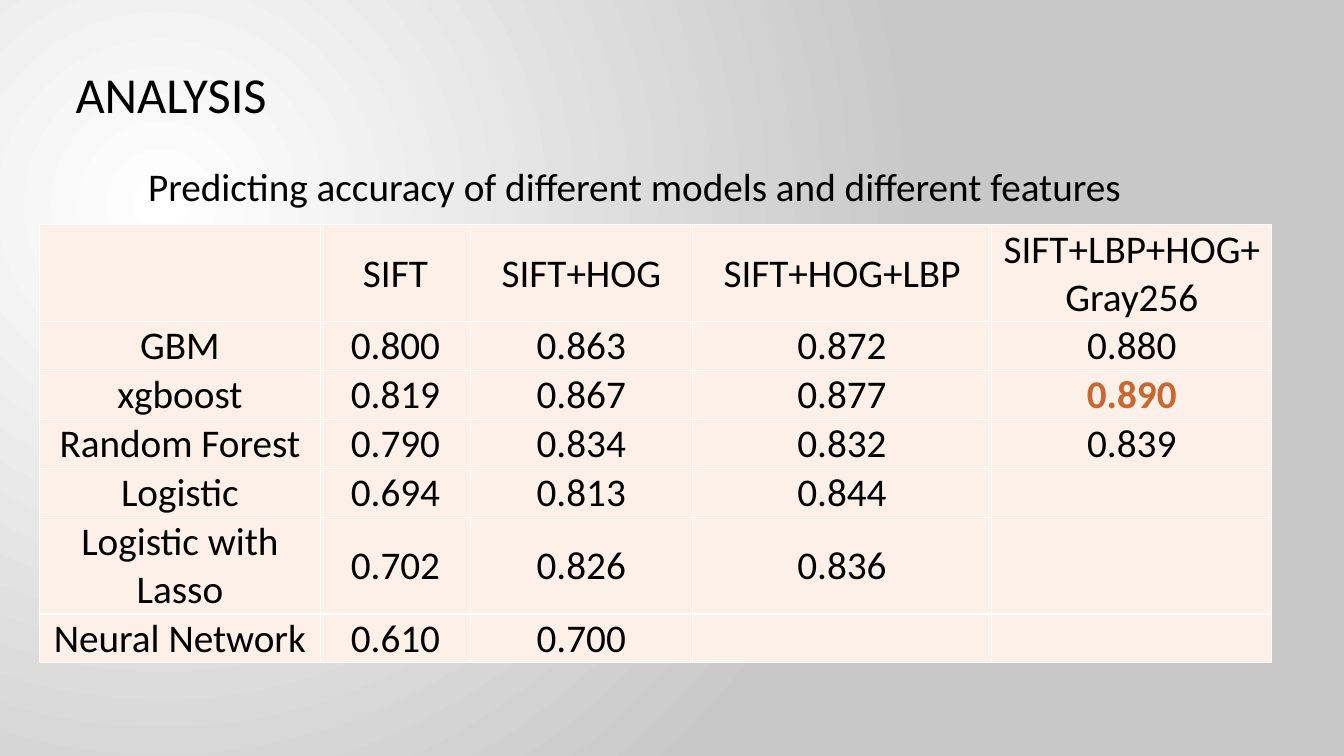
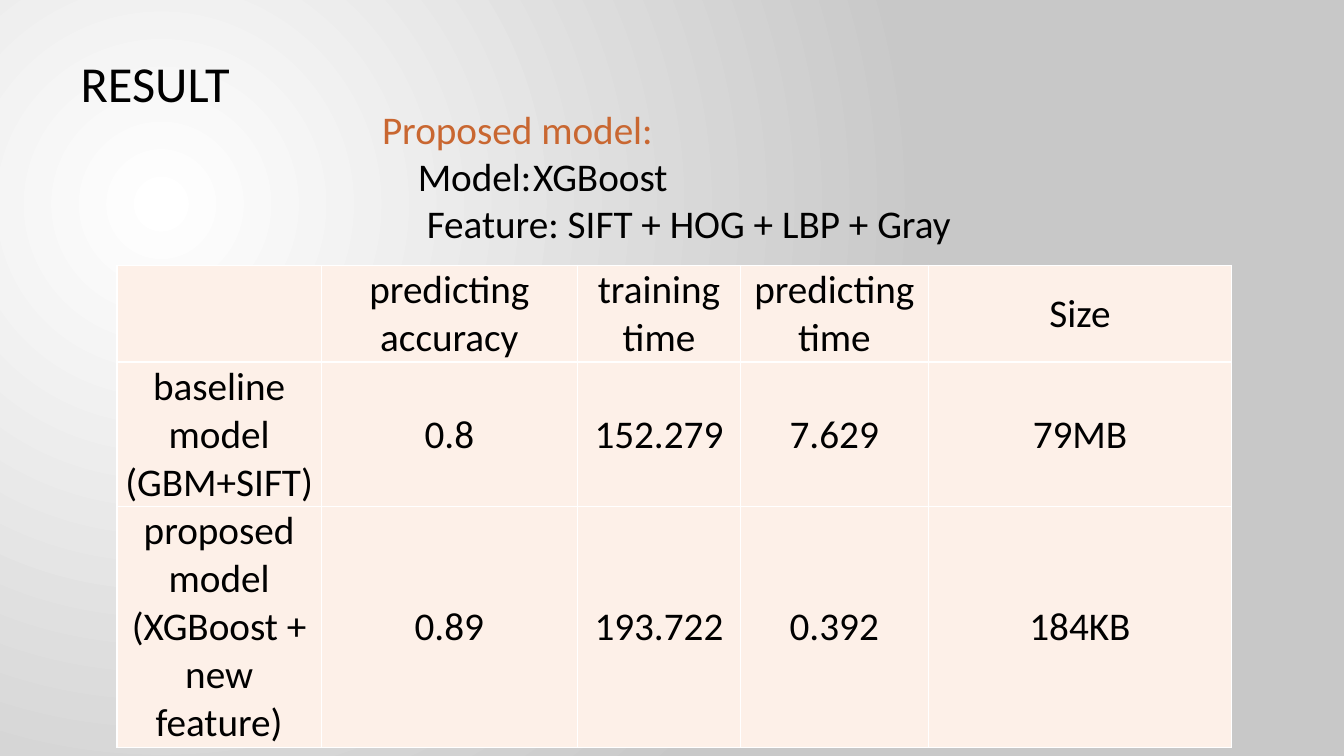
from dataclasses import dataclass

from lxml.etree import SubElement
from pptx import Presentation
from pptx.dml.color import RGBColor
from pptx.enum.text import MSO_ANCHOR, MSO_AUTO_SIZE, PP_ALIGN
from pptx.oxml import parse_xml
from pptx.oxml.ns import nsdecls, qn
from pptx.util import Pt


@dataclass(frozen=True)
class Theme:
    font: str = "Calibri"
    title_size: int = 36
    text_size: int = 28
    ink: str = "000000"
    accent: str = "C96731"
    cell: str = "FDF0E8"
    rule: str = "FFFFFF"
    glow: str = "FFFFFF"
    edge: str = "C8C8C8"


theme = Theme()


def write_lines(frame, lines, size, align=PP_ALIGN.LEFT):
    """Fill a text frame; each line is (text, colour, bold, first-line indent)."""
    for number, (text, color, bold, indent) in enumerate(lines):
        paragraph = frame.paragraphs[0] if number == 0 else frame.add_paragraph()
        properties = paragraph._p.get_or_add_pPr()
        properties.set("marL", "0")
        properties.set("indent", str(Pt(indent)))
        SubElement(properties, qn("a:buNone"))
        if "\t" in text:
            tabs = SubElement(properties, qn("a:tabLst"))
            SubElement(tabs, qn("a:tab"), pos=str(Pt(119)), algn="l")
        paragraph.alignment = align
        paragraph.space_before = Pt(0)
        run = paragraph.add_run()
        run.text = text
        for name, value in {"name": theme.font, "size": Pt(size), "bold": bold}.items():
            setattr(run.font, name, value)
        run.font.color.rgb = RGBColor.from_string(color)


def fill_placeholder(placeholder, box, lines, size):
    """Move a placeholder to box (left, top, width, height) and write its lines."""
    for name, value in zip(("left", "top", "width", "height"), box):
        setattr(placeholder, name, Pt(value))
    frame_format = {
        "word_wrap": True,
        "auto_size": MSO_AUTO_SIZE.NONE,
        "vertical_anchor": MSO_ANCHOR.TOP,
    }
    for name, value in frame_format.items():
        setattr(placeholder.text_frame, name, value)
    write_lines(placeholder.text_frame, lines, size)


# Content of the slides
pages = [
    {
        "title": "ANALYSIS",
        "title_box": (46.8, 41.8, 400, 51),
        "body": [("Predicting accuracy of different models and different features",
                  theme.ink, False, 0)],
        "body_box": (98.6, 112.3, 730, 41),
        "table_at": (28, 160.6),
        "columns": (201, 107, 158.5, 214, 200),
        "rows": (68.5, 34.5, 34.5, 34.5, 34.5, 68.5, 34.5),
        "cells": [
            ("", "SIFT", "SIFT+HOG", "SIFT+HOG+LBP", "SIFT+LBP+HOG+Gray256"),
            ("GBM", "0.800", "0.863", "0.872", "0.880"),
            ("xgboost", "0.819", "0.867", "0.877", "0.890"),
            ("Random Forest", "0.790", "0.834", "0.832", "0.839"),
            ("Logistic", "0.694", "0.813", "0.844", ""),
            ("Logistic with Lasso", "0.702", "0.826", "0.836", ""),
            ("Neural Network", "0.610", "0.700", "", ""),
        ],
        "best": "0.890",
    },
    {
        "title": "RESULT",
        "title_box": (50.4, 33.8, 400, 51),
        "body": [
            ("Proposed model:", theme.accent, False, 0),
            ("Model:\tXGBoost", theme.ink, False, 25.5),
            ("Feature: SIFT + HOG + LBP + Gray", theme.ink, False, 32),
        ],
        "body_box": (265.7, 71.3, 450, 112),
        "table_at": (83.5, 189.4),
        "columns": (146, 183, 116.5, 134, 217),
        "rows": (68, 101, 169),
        "cells": [
            ("", "predicting accuracy", "training time", "predicting time", "Size"),
            ("baseline model (GBM+SIFT)", "0.8", "152.279", "7.629", "79MB"),
            ("proposed model (XGBoost + new feature)", "0.89", "193.722", "0.392", "184KB"),
        ],
        "best": None,
    },
]

deck = Presentation()
deck.slide_width, deck.slide_height = Pt(960), Pt(540)

# Shared background: a light spot at the upper left of the master
master = deck.slide_master
backdrop = master.background.fill
backdrop.gradient()
for stop, color, position in zip(backdrop.gradient_stops, (theme.glow, theme.edge), (0, 1)):
    stop.color.rgb = RGBColor.from_string(color)
    stop.position = position
gradient = master.element.find(".//" + qn("a:gradFill"))
gradient.replace(gradient.find(qn("a:lin")), parse_xml(
    f'<a:path {nsdecls("a")} path="circle">'
    '<a:fillToRect l="50000" t="55000" r="125000" b="100000"/></a:path>'))

for page in pages:
    slide = deck.slides.add_slide(deck.slide_layouts[1])

    # Title and introductory lines
    fill_placeholder(slide.shapes.title, page["title_box"],
                     [(page["title"], theme.ink, False, 0)], theme.title_size)
    fill_placeholder(slide.placeholders[1], page["body_box"], page["body"], theme.text_size)

    # Table grid
    columns, rows = page["columns"], page["rows"]
    left, top = page["table_at"]
    scores = slide.shapes.add_table(len(rows), len(columns), Pt(left), Pt(top),
                                    Pt(sum(columns)), Pt(sum(rows))).table
    scores.first_row = scores.horz_banding = False
    for column, width in zip(scores.columns, columns):
        column.width = Pt(width)
    for row, height in zip(scores.rows, rows):
        row.height = Pt(height)

    # Table cells
    cell_format = {
        "vertical_anchor": MSO_ANCHOR.MIDDLE,
        "margin_left": Pt(0.7),
        "margin_right": Pt(0.7),
        "margin_top": Pt(0.7),
        "margin_bottom": Pt(0),
    }
    for row, texts in zip(scores.rows, page["cells"]):
        for cell, text in zip(row.cells, texts):
            for name, value in cell_format.items():
                setattr(cell, name, value)
            cell.fill.solid()
            cell.fill.fore_color.rgb = RGBColor.from_string(theme.cell)
            for order, side in enumerate(("lnL", "lnR", "lnT", "lnB")):
                cell._tc.tcPr.insert(order, parse_xml(
                    f'<a:{side} {nsdecls("a")} w="{Pt(1)}"><a:solidFill>'
                    f'<a:srgbClr val="{theme.rule}"/></a:solidFill></a:{side}>'))
            if text:
                best = text == page["best"]
                color = theme.accent if best else theme.ink
                write_lines(cell.text_frame, [(text, color, best, 0)],
                            theme.text_size, PP_ALIGN.CENTER)

deck.save("out.pptx")
